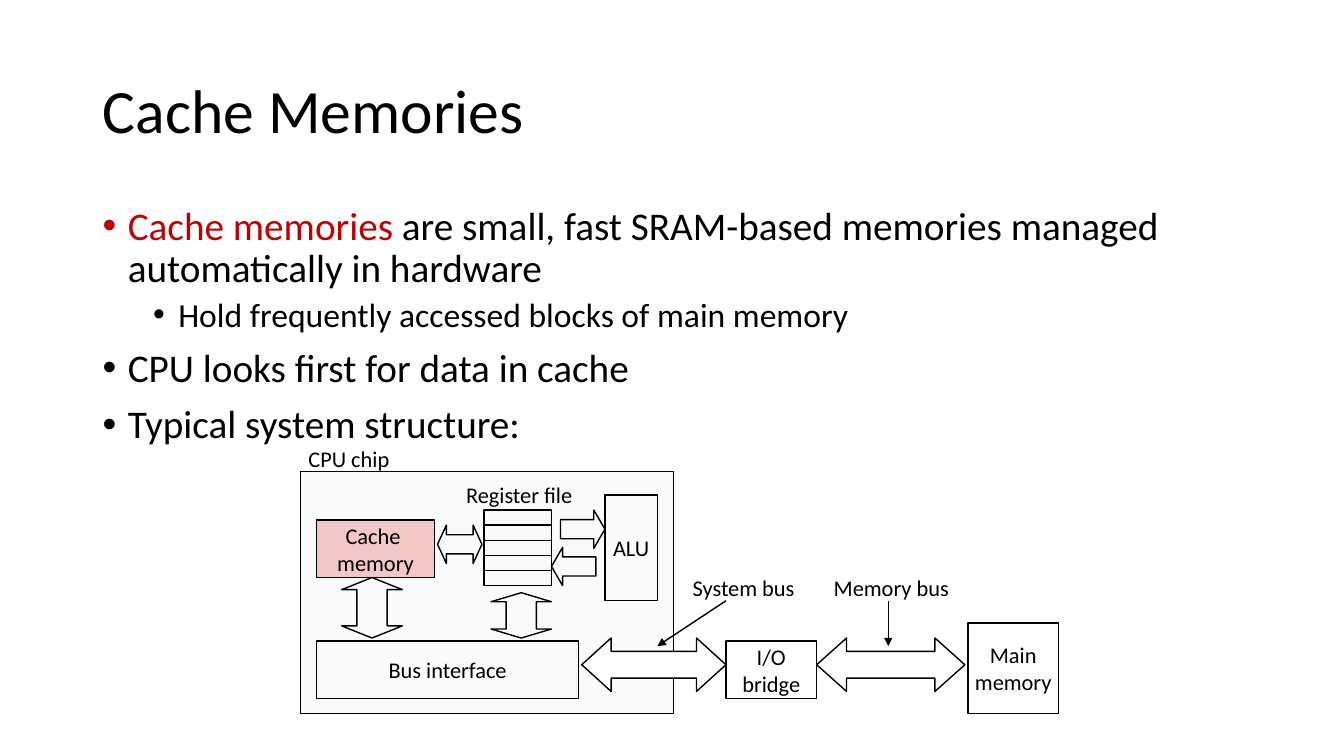
from lxml import etree
from pptx import Presentation
from pptx.dml.color import RGBColor
from pptx.enum.shapes import MSO_CONNECTOR, MSO_SHAPE as Preset
from pptx.enum.text import MSO_ANCHOR as Anchor, MSO_AUTO_SIZE as AutoSize, PP_ALIGN as Align
from pptx.oxml.ns import qn
from pptx.util import Pt

PX = 9144  # EMU per px, at 100 px to the inch
FONT = "Calibri"
BLACK = RGBColor(0x00, 0x00, 0x00)
WHITE = RGBColor(0xFF, 0xFF, 0xFF)
RED = RGBColor(0xC0, 0x00, 0x00)
PINK = RGBColor(0xF1, 0xC7, 0xC7)
CHIP_GREY = RGBColor(0xFA, 0xFA, 0xFA)

SLIDE_SIZE = (1333, 750)
TITLE = ("Cache Memories", (92, 40, 1150, 145))
BODY_BOX = (92, 200, 1150, 476)
# level, runs of (text, colour)
BULLETS = [
    (0, [("Cache memories ", RED),
         ("are small, fast SRAM-based memories managed automatically in hardware", BLACK)]),
    (1, [("Hold frequently accessed blocks of main memory", BLACK)]),
    (0, [("CPU looks first for data in cache", BLACK)]),
    (0, [("Typical system structure:", BLACK)]),
]
# level: size, left indent in px, space before
BULLET_LEVELS = {0: (28, 25, 10), 1: (24, 75, 5)}
HANGING = 25

CHIP_BOX = (298, 468, 370, 240)
# lines of text, box, fill
BLOCKS = [
    (["Main", "memory"], (960, 618, 90, 90), None),
    (["I/O", "bridge"], (720, 636, 90, 57), None),
    (["Bus interface"], (314, 636, 260, 57), None),
    (["ALU"], (600, 491, 52, 105), None),
    (["Cache ", "memory"], (314, 516, 117, 57), PINK),
]
REGISTER_BOX = (480, 506, 67, 15)
REGISTER_COUNT = 5
# preset, box, head length in percent of the short side, fill
BLOCK_ARROWS = [
    (Preset.LEFT_RIGHT_ARROW, (810, 633, 147, 53), 56, None),
    (Preset.RIGHT_ARROW, (556, 506, 44, 38), 29, None),
    (Preset.LEFT_ARROW, (547, 543, 44, 38), 29, None),
    (Preset.UP_DOWN_ARROW, (487, 588, 60, 45), 20, None),
    (Preset.UP_DOWN_ARROW, (339, 573, 60, 60), 20, None),
    (Preset.LEFT_RIGHT_ARROW, (434, 521, 44, 38), 23, None),
    (Preset.LEFT_RIGHT_ARROW, (577, 633, 143, 53), 55, WHITE),
]
SHAFT = 50  # percent of the arrow's breadth
LABELS = [
    ("Register file", (450, 472, 130, 37)),
    ("CPU chip", (295, 436, 102, 37)),
    ("System bus", (675, 564, 125, 37)),
    ("Memory bus", (815, 564, 138, 37)),
]
# start and end of the arrows that lead from the bus labels
POINTERS = [((720, 596), (652, 641)), ((881, 596), (881, 641))]


def emu(lengths):
    return [length * PX for length in lengths]


def add_text(paragraph, text, size=16, color=BLACK, align=Align.CENTER):
    paragraph.alignment = align
    run = paragraph.add_run()
    run.text = text
    run.font.name = FONT
    run.font.size = Pt(size)
    run.font.color.rgb = color


def add_lines(frame, lines):
    """Write centred, unwrapped lines, one paragraph each."""
    frame.word_wrap = False
    frame.vertical_anchor = Anchor.MIDDLE
    for index, line in enumerate(lines):
        paragraph = frame.add_paragraph() if index else frame.paragraphs[0]
        add_text(paragraph, line)


def add_outlined(slide, preset, box, fill=None):
    shape = slide.shapes.add_shape(preset, *emu(box))
    shape.shadow.inherit = False
    if fill is None:
        shape.fill.background()
    else:
        shape.fill.solid()
        shape.fill.fore_color.rgb = fill
    shape.line.color.rgb = BLACK
    shape.line.width = Pt(1)
    return shape


def add_block_arrow(slide, preset, box, head, fill):
    """Add an arrow; its guides go in as XML, as python-pptx misnames those of upDownArrow."""
    arrow = add_outlined(slide, preset, box, fill)
    guides = arrow._element.spPr.find(qn("a:prstGeom")).find(qn("a:avLst"))
    for guide in list(guides):
        guides.remove(guide)
    for name, percent in (("adj1", SHAFT), ("adj2", head)):
        etree.SubElement(guides, qn("a:gd"), name=name, fmla=f"val {percent * 1000}")


def add_pointer(slide, start, end):
    line = slide.shapes.add_connector(MSO_CONNECTOR.STRAIGHT, *emu(start + end))
    line.line.color.rgb = BLACK
    line.line.width = Pt(1)
    etree.SubElement(line.line._get_or_add_ln(), qn("a:tailEnd"), type="triangle")
    etree.SubElement(line._element.spPr, qn("a:effectLst"))


def add_title(slide):
    text, box = TITLE
    title = slide.shapes.title
    title.left, title.top, title.width, title.height = emu(box)
    title.text_frame.vertical_anchor = Anchor.MIDDLE
    title.text_frame.auto_size = AutoSize.NONE
    paragraph = title.text_frame.paragraphs[0]
    paragraph.line_spacing = 0.9
    add_text(paragraph, text, size=44, align=Align.LEFT)


def add_bullets(slide):
    frame = slide.shapes.add_textbox(*emu(BODY_BOX)).text_frame
    frame.word_wrap = True
    for index, (level, runs) in enumerate(BULLETS):
        size, indent, space = BULLET_LEVELS[level]
        paragraph = frame.add_paragraph() if index else frame.paragraphs[0]
        paragraph.level = level
        paragraph.line_spacing = 0.9
        paragraph.space_before = Pt(space)
        for text, color in runs:
            add_text(paragraph, text, size=size, color=color, align=Align.LEFT)
        properties = paragraph._p.get_or_add_pPr()
        properties.set("marL", str(indent * PX))
        properties.set("indent", str(-HANGING * PX))
        etree.SubElement(properties, qn("a:buFont"), typeface="Arial")
        etree.SubElement(properties, qn("a:buChar"), char="•")


def add_diagram(slide):
    for lines, box, fill in BLOCKS:
        add_lines(add_outlined(slide, Preset.RECTANGLE, box, fill).text_frame, lines)
    left, top, width, height = REGISTER_BOX
    for row in range(REGISTER_COUNT):
        add_outlined(slide, Preset.RECTANGLE, (left, top + row * height, width, height))
    for preset, box, head, fill in BLOCK_ARROWS:
        add_block_arrow(slide, preset, box, head, fill)
    for text, box in LABELS:
        frame = slide.shapes.add_textbox(*emu(box)).text_frame
        add_lines(frame, [text])
        frame.auto_size = AutoSize.SHAPE_TO_FIT_TEXT
    for start, end in POINTERS:
        add_pointer(slide, start, end)


def main():
    presentation = Presentation()
    presentation.slide_width, presentation.slide_height = emu(SLIDE_SIZE)
    slide = presentation.slides.add_slide(presentation.slide_layouts[5])
    add_outlined(slide, Preset.RECTANGLE, CHIP_BOX, CHIP_GREY)
    add_title(slide)
    add_bullets(slide)
    add_diagram(slide)
    presentation.save("out.pptx")


if __name__ == "__main__":
    main()
